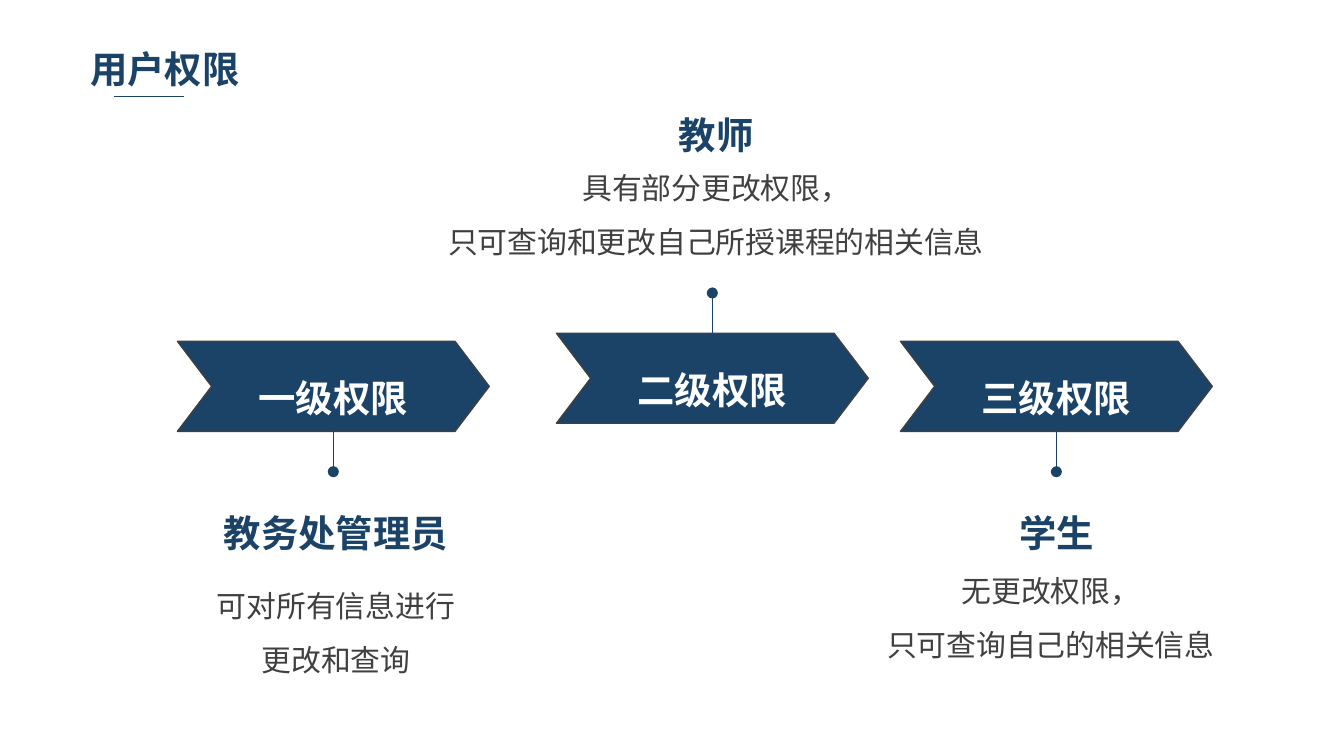
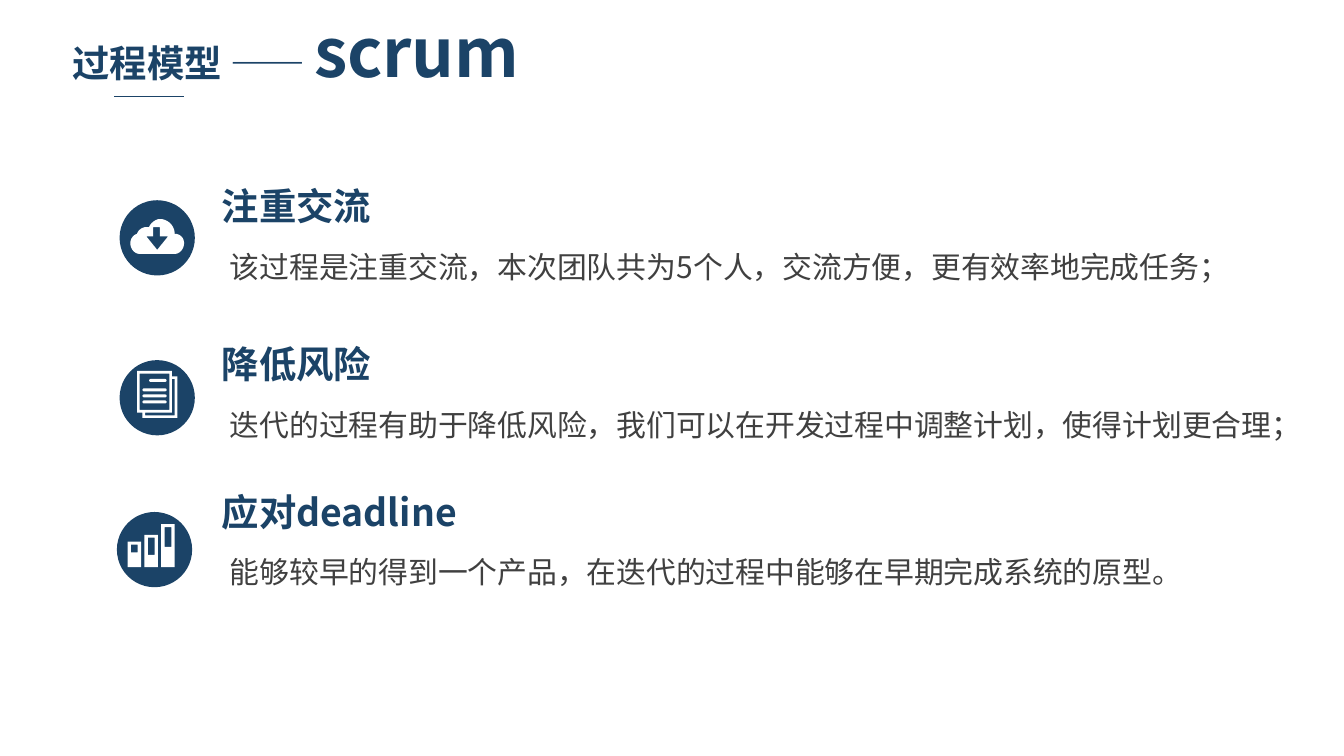
from dataclasses import dataclass
from typing import Callable, NamedTuple

from lxml.etree import SubElement
from pptx import Presentation
from pptx.dml.color import RGBColor
from pptx.enum.shapes import MSO_CONNECTOR as Connector, MSO_SHAPE as Preset
from pptx.enum.text import MSO_ANCHOR as Anchor, MSO_AUTO_SIZE as AutoSize, PP_ALIGN as Align
from pptx.oxml.ns import qn
from pptx.slide import Slide
from pptx.text.text import TextFrame
from pptx.util import Inches, Pt

# Shared look
NAVY = RGBColor(0x1B, 0x43, 0x67)
GRAY = RGBColor(0x40, 0x40, 0x40)
WHITE = RGBColor(0xFF, 0xFF, 0xFF)
FONT = "Noto Sans CJK SC"
HEADING_SIZE, BODY_SIZE, EMPHASIS_SIZE = 20, 16, 36
HAIRLINE = Pt(0.75)
LINE_SPACING = 1.5

# A square grid, 100 columns across the slide
SLIDE_WIDTH = Inches(10)
SLIDE_HEIGHT = SLIDE_WIDTH * 9 // 16
CELL = SLIDE_WIDTH // 100
HEADING_HEIGHT, LINE_HEIGHT, TWO_LINE_HEIGHT = 5.8, 4.8, 8.8


class Point(NamedTuple):
    x: float
    y: float

    def shifted(self, x: float, y: float) -> "Point":
        return Point(self.x + x, self.y + y)


class Box(NamedTuple):
    left: float
    top: float
    width: float
    height: float


Outline = list[Point]


def cells(*lengths: float) -> list[int]:
    return [round(length * CELL) for length in lengths]


# Text
def style_run(run, size: float, color: RGBColor, bold: bool) -> None:
    run.font.name = FONT
    run.font.size = Pt(size)
    run.font.bold = bold
    run.font.color.rgb = color
    SubElement(run._r.get_or_add_rPr(), qn("a:ea"), typeface=FONT)


def set_frame(frame: TextFrame, anchor: Anchor, auto_size: AutoSize) -> None:
    frame.word_wrap = True
    frame.auto_size = auto_size
    frame.vertical_anchor = anchor
    frame.margin_left = frame.margin_right = Inches(0.07)
    frame.margin_top = frame.margin_bottom = Inches(0.04)


def style_text(frame: TextFrame, size: float, color: RGBColor, bold: bool,
               align: Align, spacing: float = LINE_SPACING) -> None:
    for paragraph in frame.paragraphs:
        paragraph.alignment = align
        paragraph.line_spacing = spacing
        for run in paragraph.runs:
            style_run(run, size, color, bold)


def add_text(slide: Slide, box: Box, text: str, size: float, color: RGBColor,
             bold: bool, align: Align) -> None:
    frame = slide.shapes.add_textbox(*cells(*box)).text_frame
    set_frame(frame, Anchor.TOP, AutoSize.SHAPE_TO_FIT_TEXT)
    frame.text = text
    style_text(frame, size, color, bold, align)


def add_heading(slide: Slide, box: Box, text: str, align: Align) -> None:
    add_text(slide, box, text, HEADING_SIZE, NAVY, True, align)


def add_body(slide: Slide, box: Box, text: str, align: Align) -> None:
    add_text(slide, box, text, BODY_SIZE, GRAY, False, align)


# Shapes and lines
def add_filled(slide: Slide, preset: Preset, box: Box, color: RGBColor):
    shape = slide.shapes.add_shape(preset, *cells(*box))
    shape.shadow.inherit = False
    shape.fill.solid()
    shape.fill.fore_color.rgb = color
    shape.line.fill.background()
    return shape


def add_line(slide: Slide, start: Point, end: Point, dot: bool = False) -> None:
    connector = slide.shapes.add_connector(Connector.STRAIGHT, *cells(*start, *end))
    connector.line.width = HAIRLINE
    connector.line.color.rgb = NAVY
    properties = connector.element.spPr
    if dot:
        SubElement(properties.find(qn("a:ln")), qn("a:tailEnd"), type="oval")
    SubElement(properties, qn("a:effectLst"))


def add_outlines(slide: Slide, origin: Point, outlines: list[Outline]) -> None:
    """Draw a white area; the outlines after the first are its holes."""
    first, *holes = [[cells(*origin.shifted(*point)) for point in outline]
                     for outline in outlines]
    builder = slide.shapes.build_freeform(*first[0])
    builder.add_line_segments(first[1:], close=True)
    for hole in holes:
        builder.move_to(*hole[0])
        builder.add_line_segments(hole[1:], close=True)
    shape = builder.convert_to_shape()
    shape.shadow.inherit = False
    shape.fill.solid()
    shape.fill.fore_color.rgb = WHITE
    shape.line.fill.background()


def rectangle(left: float, top: float, right: float, bottom: float) -> Outline:
    return [Point(left, top), Point(right, top), Point(right, bottom), Point(left, bottom)]


def points(*pairs: tuple[float, float]) -> Outline:
    return [Point(*pair) for pair in pairs]


def curve(start: Point, controls: tuple[float, ...], steps: int = 12) -> Outline:
    """Sample a cubic curve, leaving out its start."""
    x1, y1, x2, y2, x3, y3 = controls

    def at(t: float, a: float, b: float, c: float, d: float) -> float:
        u = 1 - t
        return a * u**3 + 3 * b * u * u * t + 3 * c * u * t * t + d * t**3

    return [Point(at(i / steps, start.x, x1, x2, x3), at(i / steps, start.y, y1, y2, y3))
            for i in range(1, steps + 1)]


# Icons, measured from the corner of their disc
def draw_cloud(slide: Slide, corner: Point) -> None:
    cloud = [Point(4.1, 2.5)]
    for controls in ((4.1, 1.9, 3.6, 1.4, 3, 1.4), (2.7, 1.4, 2.3, 1.7, 2.2, 2),
                     (2.1, 2, 2.1, 2, 2, 2), (1.7, 2, 1.4, 2.2, 1.3, 2.5),
                     (1, 2.6, 0.8, 2.9, 0.8, 3.2), (0.8, 3.6, 1.1, 4, 1.5, 4),
                     (1.5, 4, 4.1, 4, 4.1, 4), (4.5, 4, 4.8, 3.6, 4.8, 3.2),
                     (4.8, 2.8, 4.5, 2.5, 4.1, 2.5)):
        cloud += curve(cloud[-1], controls)
    arrow = points((2.8, 3.7), (2, 2.7), (2.5, 2.7), (2.5, 2), (3, 2), (3, 2.7), (3.6, 2.7))
    add_outlines(slide, corner, [cloud, arrow])


def draw_document(slide: Slide, corner: Point) -> None:
    sheets = points((1.3, 0.8), (3.9, 0.8), (3.9, 1.2), (4.3, 1.2),
                    (4.3, 4.3), (1.7, 4.3), (1.7, 3.9), (1.3, 3.9))
    back = points((4.1, 1.4), (4.1, 4.1), (1.9, 4.1), (1.9, 3.9), (3.9, 3.9), (3.9, 1.4))
    add_outlines(slide, corner, [sheets, rectangle(1.5, 1, 3.7, 3.7), back])
    for left, top in ((2.2, 1.4), (1.7, 2.1), (1.7, 2.55), (1.7, 3)):
        line = add_filled(slide, Preset.ROUNDED_RECTANGLE,
                          Box(*corner.shifted(left, top), 3.5 - left, 0.22), WHITE)
        line.adjustments[0] = 0.5


def draw_bars(slide: Slide, corner: Point) -> None:
    for index, (top, hole_bottom) in enumerate(((2.2, 3), (1.7, 3.2), (0.9, 2.6))):
        left = 0.8 + 1.25 * index
        bar = rectangle(left, top, left + 1, 4.1)
        hole = rectangle(left + 0.25, top + 0.22, left + 0.75, hole_bottom)
        add_outlines(slide, corner, [bar, hole])


# Repeated elements
@dataclass(frozen=True)
class Level:
    name: str
    role: str
    rights: str
    arrow: Point
    role_at: Point
    rights_at: Point
    rights_width: float
    points_up: bool = False


@dataclass(frozen=True)
class Benefit:
    heading: str
    text: str
    top: float
    disc: Point
    icon: Callable[[Slide, Point], None]


LEVELS = (
    Level("一级权限", "教务处管理员", "可对所有信息进行\n更改和查询",
          Point(13.2, 25.4), Point(14.4, 35.9), Point(10.4, 42), 29.2),
    Level("二级权限", "教师", "具有部分更改权限，\n只可查询和更改自己所授课程的相关信息",
          Point(41.4, 24.8), Point(42.7, 6.3), Point(32, 10.9), 42.6, points_up=True),
    Level("三级权限", "学生", "无更改权限，\n只可查询自己的相关信息",
          Point(67, 25.4), Point(68, 35.9), Point(59.9, 40.9), 36.6),
)
BENEFITS = (
    Benefit("注重交流", "该过程是注重交流，本次团队共为5个人，交流方便，更有效率地完成任务；",
            11.6, Point(8.9, 14.9), draw_cloud),
    Benefit("降低风险", "迭代的过程有助于降低风险，我们可以在开发过程中调整计划，使得计划更合理；",
            23.3, Point(8.9, 26.8), draw_document),
    Benefit("应对deadline", "能够较早的得到一个产品，在迭代的过程中能够在早期完成系统的原型。",
            34.3, Point(8.7, 38.1), draw_bars),
)
ARROW_WIDTH, ARROW_HEIGHT, PIN_LENGTH = 23.2, 6.7, 3
ROLE_WIDTH = 21.2
DISC_SIZE = 5.6


def add_titled_slide(presentation, title: str, box: Box, spacing: float,
                     emphasis: str = "") -> Slide:
    slide = presentation.slides.add_slide(presentation.slide_layouts[5])
    placeholder = slide.shapes.title
    placeholder.left, placeholder.top, placeholder.width, placeholder.height = cells(*box)
    frame = placeholder.text_frame
    set_frame(frame, Anchor.TOP, AutoSize.SHAPE_TO_FIT_TEXT)
    frame.text = title
    style_text(frame, HEADING_SIZE, NAVY, True, Align.LEFT, spacing)
    if emphasis:
        run = frame.paragraphs[0].add_run()
        run.text = emphasis
        style_run(run, EMPHASIS_SIZE, NAVY, True)
    add_line(slide, Point(8.5, 7.2), Point(13.7, 7.2))
    return slide


def add_level(slide: Slide, level: Level) -> None:
    arrow = add_filled(slide, Preset.CHEVRON,
                       Box(*level.arrow, ARROW_WIDTH, ARROW_HEIGHT), NAVY)
    arrow.adjustments[0] = 0.38
    arrow.line.color.rgb = GRAY
    arrow.line.width = HAIRLINE
    set_frame(arrow.text_frame, Anchor.MIDDLE, AutoSize.NONE)
    arrow.text_frame.text = level.name
    style_text(arrow.text_frame, HEADING_SIZE, WHITE, True, Align.CENTER)
    start = level.arrow.shifted(ARROW_WIDTH / 2, 0 if level.points_up else ARROW_HEIGHT)
    end = start.shifted(0, -PIN_LENGTH if level.points_up else PIN_LENGTH)
    add_line(slide, start, end, dot=True)
    add_heading(slide, Box(*level.role_at, ROLE_WIDTH, HEADING_HEIGHT), level.role, Align.CENTER)
    add_body(slide, Box(*level.rights_at, level.rights_width, TWO_LINE_HEIGHT),
             level.rights, Align.CENTER)


def add_benefit(slide: Slide, benefit: Benefit) -> None:
    add_filled(slide, Preset.OVAL, Box(*benefit.disc, DISC_SIZE, DISC_SIZE), NAVY)
    benefit.icon(slide, benefit.disc)
    add_heading(slide, Box(15.8, benefit.top, 41.4, HEADING_HEIGHT), benefit.heading, Align.LEFT)
    add_body(slide, Box(16.4, benefit.top + 5.2, 81.1, LINE_HEIGHT), benefit.text, Align.LEFT)


def main() -> None:
    presentation = Presentation()
    presentation.slide_width = SLIDE_WIDTH
    presentation.slide_height = SLIDE_HEIGHT

    # User permissions
    permissions = add_titled_slide(presentation, "用户权限",
                                   Box(6, 1.4, 28, HEADING_HEIGHT), LINE_SPACING)
    for level in LEVELS:
        add_level(permissions, level)

    # Process model
    process = add_titled_slide(presentation, "过程模型 —— ", Box(4.7, 0.4, 44.7, 6.8), 1, "scrum")
    for benefit in BENEFITS:
        add_benefit(process, benefit)

    presentation.save("out.pptx")


if __name__ == "__main__":
    main()
